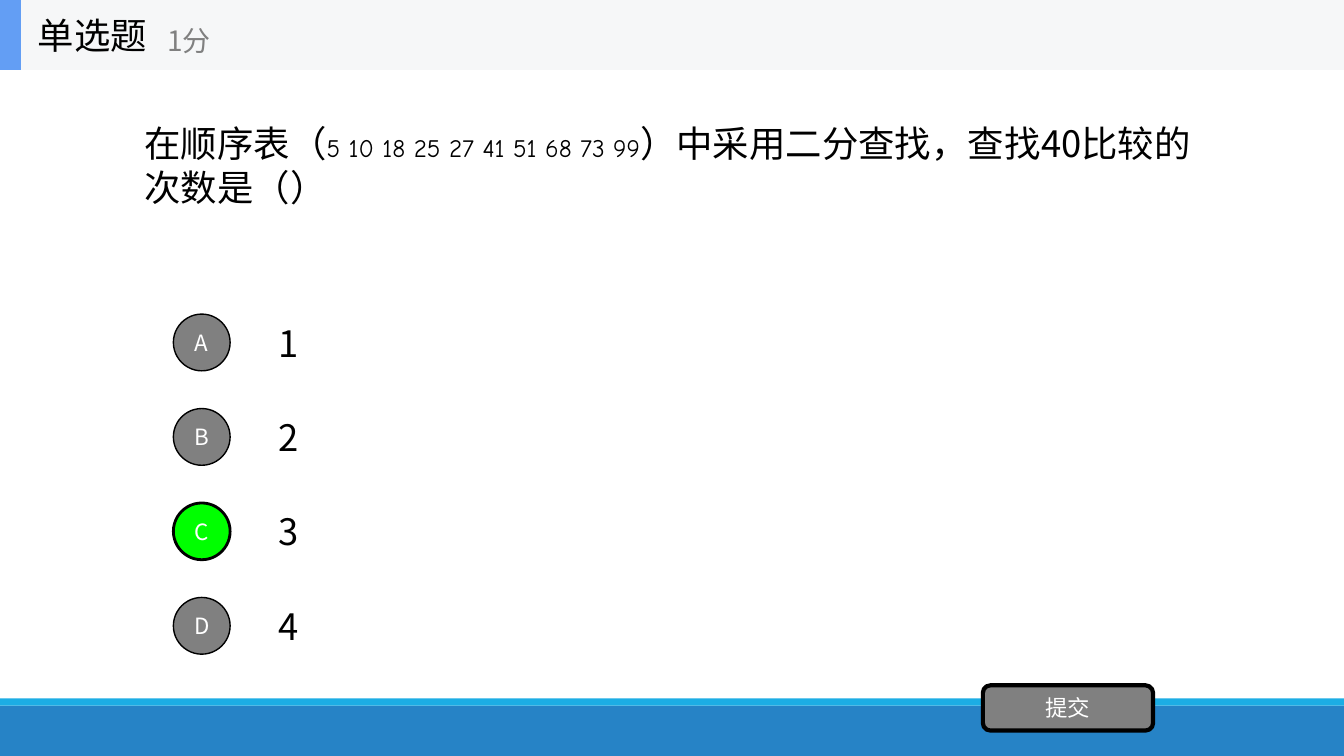
from lxml import etree
from pptx import Presentation
from pptx.dml.color import RGBColor
from pptx.enum.shapes import MSO_SHAPE as Shape
from pptx.enum.text import MSO_ANCHOR as Anchor, PP_ALIGN as Align
from pptx.oxml.ns import qn
from pptx.util import Cm, Pt

COLORS = {
    "black": "000000", "white": "FFFFFF", "gray": "808080", "correct": "00FF00",
    "band": "2683C6", "stripe": "1CADE4", "header": "F6F7F8", "accent": "639EF4",
}
CJK = "Noto Sans CJK SC"
WIDTH, HEIGHT = 33.87, 19.05


def rgb(name):
    return RGBColor.from_string(COLORS[name])


def format_run(run, size, color, font=CJK):
    run.font.size = Pt(size)
    run.font.color.rgb = rgb(color)
    run.font.name = font
    etree.SubElement(run.font._element, qn("a:ea")).set("typeface", font)


def add_block(shapes, kind, box, fill, line_width=0):
    shape = shapes.add_shape(kind, *map(Cm, box))
    shape.shadow.inherit = False
    shape.fill.solid()
    shape.fill.fore_color.rgb = rgb(fill)
    if line_width:
        shape.line.color.rgb = rgb("black")
        shape.line.width = Pt(line_width)
    else:
        shape.line.fill.background()
    return shape


def add_button(shapes, kind, box, label, fill, line_width):
    frame = add_block(shapes, kind, box, fill, line_width).text_frame
    frame.margin_left = frame.margin_right = frame.margin_top = frame.margin_bottom = 0
    frame.vertical_anchor = Anchor.MIDDLE
    frame.text = label
    paragraph = frame.paragraphs[0]
    paragraph.alignment = Align.CENTER
    format_run(paragraph.runs[0], 16, "white")


def add_text(shapes, box, text, size=26, color="black"):
    frame = shapes.add_textbox(*map(Cm, box)).text_frame
    frame.word_wrap = True
    frame.vertical_anchor = Anchor.MIDDLE
    frame.text = text
    paragraph = frame.paragraphs[0]
    format_run(paragraph.runs[0], size, color)
    return paragraph


def add_footer(shapes, left, top, width, height):
    stripe = 0.18
    add_block(shapes, Shape.RECTANGLE, (left, top + stripe, width, height - stripe), "band")
    add_block(shapes, Shape.RECTANGLE, (left, top, width, stripe), "stripe")


def add_question(shapes, box, before, numbers, after):
    paragraph = add_text(shapes, box, before)
    for text, size, font in ((numbers, 18, "Comic Neue"), (after, 26, CJK)):
        run = paragraph.add_run()
        run.text = text
        format_run(run, size, "black", font)


def add_options(shapes, left, top, width, pitch, answers, correct):
    row_height, circle, text_offset = 1.78, 1.43, 2.4
    for index, (letter, answer) in enumerate(answers.items()):
        row_top = top + index * pitch
        add_text(shapes, (left + text_offset, row_top, width - text_offset, row_height), answer)
        circle_box = (left, row_top + (row_height - circle) / 2, circle, circle)
        fill, line_width = ("correct", 2) if letter == correct else ("gray", 1)
        add_button(shapes, Shape.OVAL, circle_box, letter, fill, line_width)


def add_header(shapes, left, top, width, height):
    group = shapes.add_group_shape().shapes
    add_block(group, Shape.RECTANGLE, (left, top, width, height), "header")
    add_block(group, Shape.RECTANGLE, (left, top, 0.53, height), "accent")
    add_text(group, (left + 0.7, top, 5.28, height), "单选题")
    add_text(group, (left + 3.97, top + 0.31, 6.35, height - 0.33), "1分", 20, "gray")


def main():
    presentation = Presentation()
    presentation.slide_width, presentation.slide_height = Cm(WIDTH), Cm(HEIGHT)
    slide = presentation.slides.add_slide(presentation.slide_layouts[6])
    shapes = slide.shapes

    # Footer band
    add_footer(shapes, 0, 17.6, WIDTH, HEIGHT - 17.6)

    # Question and its options
    add_question(shapes, (3.39, 1.19, 27.1, 5.94), "在顺序表（",
                 "5 10 18 25 27 41 51 68 73 99",
                 "）中采用二分查找，查找40比较的次数是（）")
    answers = {"A": "1", "B": "2", "C": "3", "D": "4"}
    add_options(shapes, 4.37, 7.74, 26.12, 2.38, answers, "C")

    # Submit button
    add_button(shapes, Shape.ROUNDED_RECTANGLE, (24.77, 17.27, 4.29, 1.14), "提交", "gray", 3)

    # Header bar
    add_header(shapes, 0, 0, WIDTH, 1.76)

    presentation.save("out.pptx")


if __name__ == "__main__":
    main()
